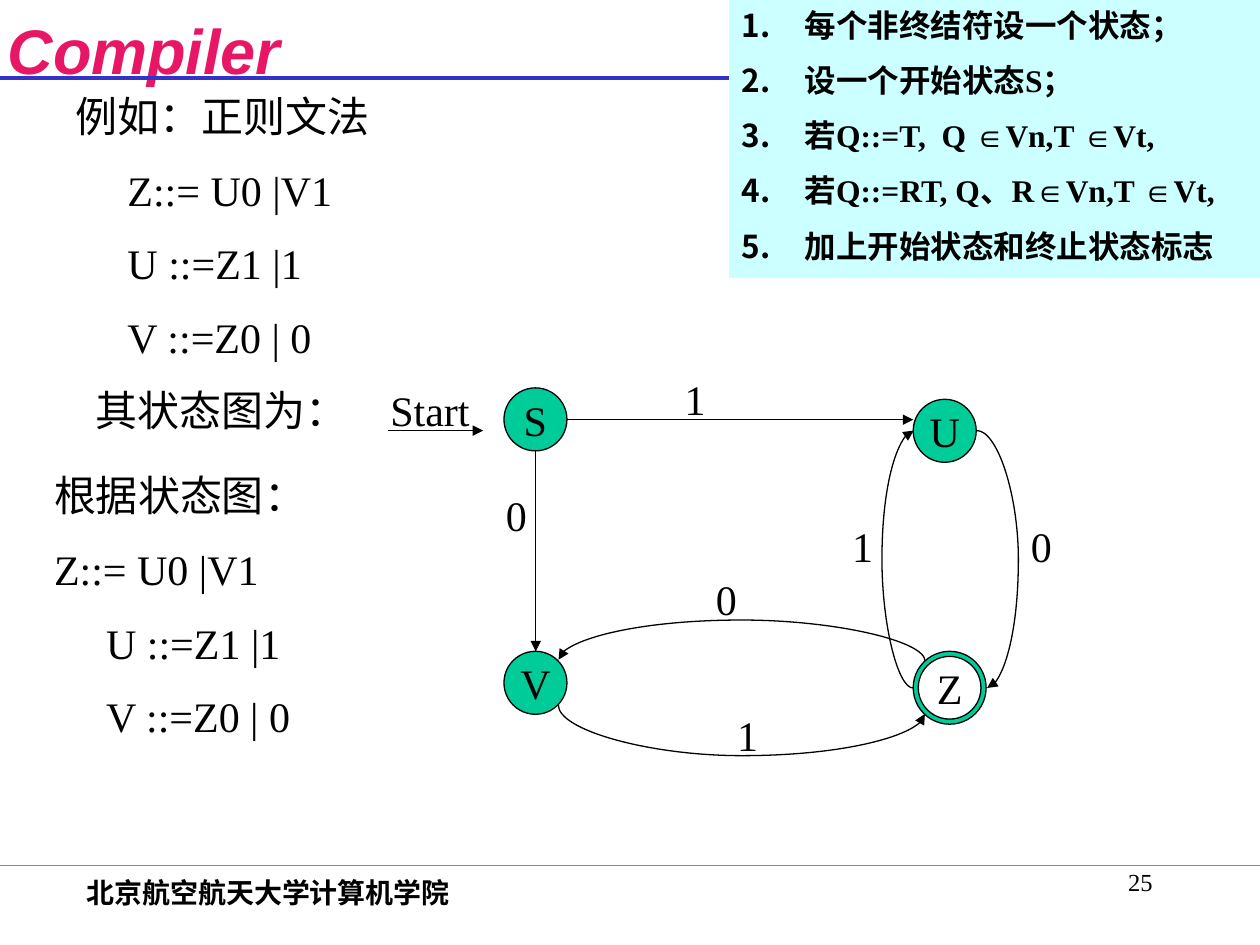
import pptx
import pptx.dml.color
import pptx.enum.shapes
import pptx.enum.text
import pptx.oxml
import pptx.oxml.ns
import pptx.util
from pptx.util import Cm

SHAPE = pptx.enum.shapes.MSO_SHAPE
CONNECTOR = pptx.enum.shapes.MSO_CONNECTOR
ALIGN = pptx.enum.text.PP_ALIGN
ANCHOR = pptx.enum.text.MSO_ANCHOR
AUTO_SIZE = pptx.enum.text.MSO_AUTO_SIZE

GRAMMAR = [("Z::= U0 |V1", 1.05), ("U ::=Z1 |1", 1.05), ("V ::=Z0 | 0", 1.05)]
RULES = ["每个非终结符设一个状态；", "设一个开始状态S；", "若Q::=T,  Q ∈Vn,T ∈Vt,",
         "若Q::=RT, Q、R∈Vn,T ∈Vt,", "加上开始状态和终止状态标志"]


def color(value):
    return pptx.dml.color.RGBColor.from_string(value)


def add_child(parent, tag, **attributes):
    element = pptx.oxml.parse_xml(f"<a:{tag} {pptx.oxml.ns.nsdecls('a')}/>")
    for name, value in attributes.items():
        element.set(name, str(value))
    parent.append(element)
    return element


def write_text(shape, lines, size=24, font="Times New Roman", fill="000000", bold=False,
               italic=False, align=ALIGN.LEFT, anchor=ANCHOR.TOP, wrap=True,
               spaced=False, numbered=False, grow=False):
    """Write lines, each a string or a (string, left indent in cm) pair."""
    frame = shape.text_frame
    frame.word_wrap = wrap
    frame.vertical_anchor = anchor
    frame.auto_size = AUTO_SIZE.SHAPE_TO_FIT_TEXT if grow else AUTO_SIZE.NONE
    for index, line in enumerate(lines):
        text, indent = (line, 0) if isinstance(line, str) else line
        paragraph = frame.add_paragraph() if index else frame.paragraphs[0]
        paragraph.alignment = align
        if spaced:
            paragraph.space_before = pptx.util.Pt(size * 0.55)
        properties = paragraph._p.get_or_add_pPr()
        if numbered:
            properties.set("marL", str(Cm(1.27)))
            properties.set("indent", str(-Cm(1.27)))
            add_child(properties, "buAutoNum", type="arabicPeriod")
        elif indent:
            properties.set("marL", str(Cm(indent)))
        run = paragraph.add_run()
        run.text = text
        run.font.name = font
        run.font.size = pptx.util.Pt(size)
        run.font.bold = bold
        run.font.italic = italic
        run.font.color.rgb = color(fill)


def add_text(slide, left, top, width, height, lines, **text_format):
    box = slide.shapes.add_textbox(Cm(left), Cm(top), Cm(width), Cm(height))
    write_text(box, lines, **text_format)


def add_filled_shape(slide, kind, left, top, width, height, fill, line=None):
    shape = slide.shapes.add_shape(kind, Cm(left), Cm(top), Cm(width), Cm(height))
    shape.shadow.inherit = False
    shape.fill.solid()
    shape.fill.fore_color.rgb = color(fill)
    if line:
        shape.line.color.rgb = color(line)
        shape.line.width = pptx.util.Pt(0.75)
    else:
        shape.line.fill.background()
    return shape


def add_state(slide, name, left, top, size=1.27, final=False):
    kind = SHAPE.DONUT if final else SHAPE.OVAL
    state = add_filled_shape(slide, kind, left, top, size, size, "00CC99", "000000")
    if final:
        state.adjustments[0] = 0.07
    write_text(state, [name], align=ALIGN.CENTER, anchor=ANCHOR.MIDDLE, wrap=False)


def add_line(slide, x1, y1, x2, y2, line="000000", width=0.75, arrow=None,
             kind=CONNECTOR.STRAIGHT):
    """Draw a connector; arrow is None, headEnd (start) or tailEnd (finish)."""
    connector = slide.shapes.add_connector(kind, Cm(x1), Cm(y1), Cm(x2), Cm(y2))
    connector.line.color.rgb = color(line)
    connector.line.width = pptx.util.Pt(width)
    if arrow:
        add_child(connector.line._get_or_add_ln(), arrow, type="triangle")
    add_child(connector._element.spPr, "effectLst")
    return connector


def add_curve(slide, left, top, width, height, bulge, arrow, rotation=0, flip=None):
    """Draw a curve whose middle lies bulge cm from its unrotated start."""
    connector = add_line(slide, left, top, left + width, top + height,
                         arrow=arrow, kind=CONNECTOR.CURVE)
    properties = connector._element.spPr
    transform = properties.find(pptx.oxml.ns.qn("a:xfrm"))
    transform.set("rot", str(rotation * 60000))
    if flip:
        transform.set(flip, "1")
    geometry = properties.find(pptx.oxml.ns.qn("a:prstGeom"))
    for child in list(geometry):
        geometry.remove(child)
    adjustment = round(bulge / width * 100000)
    add_child(add_child(geometry, "avLst"), "gd", name="adj1", fmla=f"val {adjustment}")


def add_frame(slide):
    add_text(slide, 18.21, 17.35, 5.28, 1.27, ["25"], size=14, align=ALIGN.RIGHT)
    add_text(slide, 0.48, 0.1, 4.85, 1.57, ["Compiler"], size=36, font="Arial",
             fill="E81766", bold=True, italic=True, align=ALIGN.CENTER, wrap=False)
    add_line(slide, 0, 1.57, 25.4, 1.57, line="3333CC", width=2.25)
    add_text(slide, 1.5, 17.53, 10.52, 1.27, ["北京航空航天大学计算机学院"],
             size=16, bold=True, spaced=True)
    add_line(slide, 0, 17.45, 25.4, 17.45, line="00CC99")


def add_state_diagram(slide):
    add_state(slide, "Z", 18.41, 13.13, size=1.47, final=True)
    for name, left, top in [("S", 10.16, 7.82), ("U", 18.41, 8.05), ("V", 10.16, 13.13)]:
        add_state(slide, name, left, top)

    add_line(slide, 7.82, 8.68, 9.74, 8.68, arrow="tailEnd")
    add_line(slide, 11.43, 8.46, 18.41, 8.46, arrow="tailEnd")
    add_line(slide, 10.8, 9.1, 10.8, 13.13, arrow="tailEnd")
    add_curve(slide, 18.41, 8.68, 0.01, 5.19, -0.63, "tailEnd", 180, "flipH")
    add_curve(slide, 14.86, 10.61, 0.18, 7.39, -0.84, "headEnd", 270, "flipV")
    add_curve(slide, 14.94, 9.62, 0.03, 7.39, -0.8, "headEnd", 90, "flipV")
    add_curve(slide, 19.69, 8.68, 0.21, 5.19, 0.84, "tailEnd")

    add_text(slide, 7.62, 7.62, 2.11, 1.27, ["Start"], wrap=False, grow=True)
    for symbol, left, top in [("1", 13.55, 7.41), ("1", 16.93, 10.37), ("1", 14.61, 14.18),
                              ("0", 9.95, 9.74), ("0", 14.18, 11.43), ("0", 20.53, 10.37)]:
        add_text(slide, left, top, 1.27, 1.27, [symbol], spaced=True, grow=True)


def main():
    presentation = pptx.Presentation()
    presentation.slide_width = Cm(25.4)
    presentation.slide_height = Cm(19.05)
    slide = presentation.slides.add_slide(presentation.slide_layouts[6])

    add_frame(slide)
    add_text(slide, 1.27, 1.7, 20.75, 7.37,
             ["例如：正则文法", *GRAMMAR, ("其状态图为：", 0.4)], spaced=True, grow=True)
    add_state_diagram(slide)
    panel = add_filled_shape(slide, SHAPE.RECTANGLE, 14.7, 0, 10.7, 5.61, "CCFFFF")
    write_text(panel, RULES, size=18, bold=True, spaced=True, numbered=True, grow=True)
    add_text(slide, 0.84, 9.35, 20.75, 5.89,
             ["根据状态图：", GRAMMAR[0][0], *GRAMMAR[1:]], spaced=True, grow=True)

    presentation.save("out.pptx")


if __name__ == "__main__":
    main()
